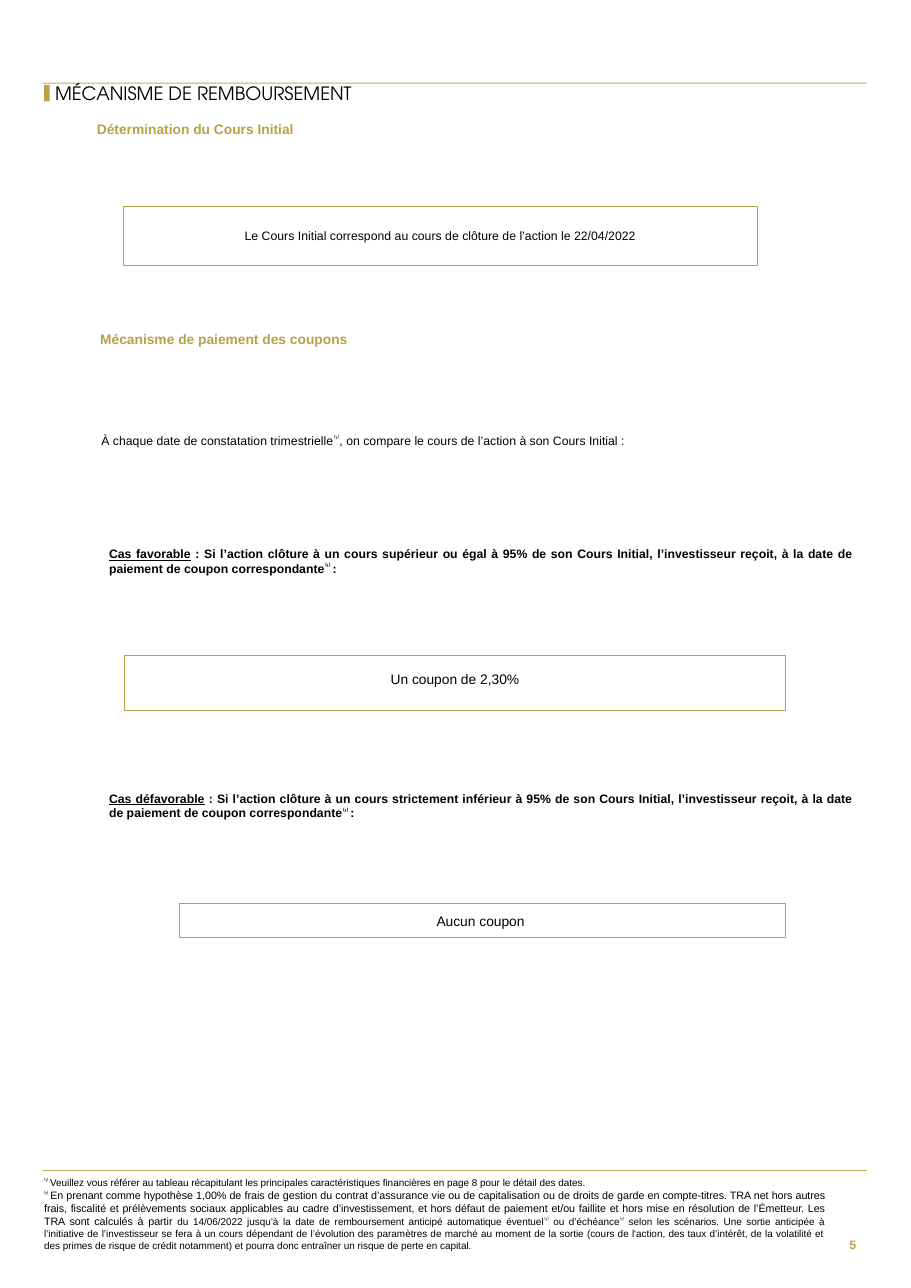
"""Build the redemption mechanism page of a structured product brochure."""
from dataclasses import dataclass
from typing import Optional

import pptx
import pptx.dml.color
import pptx.enum.shapes
import pptx.enum.text
import pptx.util

PX = 9144
ALIGN = pptx.enum.text.PP_ALIGN
ANCHOR = pptx.enum.text.MSO_ANCHOR
COLOURS = {"gold": "B9A049", "rule": "C5AF5C", "ink": "000000", "paper": "FFFFFF"}


@dataclass(frozen=True)
class Span:
    text: str
    size: Optional[float] = None
    underline: bool = False
    superscript: bool = False


@dataclass(frozen=True)
class Passage:
    box: tuple[int, int, int, int]
    paragraphs: list[list[Span]]
    size: float
    colour: str = "ink"
    bold: bool = False
    font: str = "Arial"
    align: ALIGN = ALIGN.JUSTIFY
    anchor: ANCHOR = ANCHOR.TOP
    insets: tuple[int, int, int, int] = (0, 0, 0, 0)
    line_spacing: float = 1.0


@dataclass(frozen=True)
class Panel:
    passage: Passage
    outline: float
    fill: Optional[str] = None


def emu(box: tuple[int, ...]) -> list[int]:
    """Turn px lengths into EMU."""
    return [length * PX for length in box]


def rgb(name: str) -> pptx.dml.color.RGBColor:
    """Look up a named colour."""
    return pptx.dml.color.RGBColor.from_string(COLOURS[name])


def write(frame: pptx.text.text.TextFrame, passage: Passage) -> None:
    """Fill a text frame with the spans of a passage."""
    frame.word_wrap = True
    frame.vertical_anchor = passage.anchor
    (frame.margin_left, frame.margin_top,
     frame.margin_right, frame.margin_bottom) = emu(passage.insets)
    for index, spans in enumerate(passage.paragraphs):
        paragraph = frame.add_paragraph() if index else frame.paragraphs[0]
        paragraph.alignment = passage.align
        paragraph.line_spacing = passage.line_spacing
        for span in spans:
            run = paragraph.add_run()
            run.text = span.text
            run.font.name = passage.font
            run.font.size = pptx.util.Pt(span.size or passage.size)
            run.font.bold = passage.bold
            run.font.underline = span.underline
            run.font.color.rgb = rgb(passage.colour)
            if span.superscript:
                run._r.get_or_add_rPr().set("baseline", "30000")


def add_passage(slide: pptx.slide.Slide, passage: Passage) -> None:
    """Add a text box."""
    write(slide.shapes.add_textbox(*emu(passage.box)).text_frame, passage)


def add_rectangle(slide: pptx.slide.Slide, box: tuple[int, int, int, int],
                  fill: Optional[str], outline: float = 0) -> pptx.shapes.autoshape.Shape:
    """Add a flat rectangle with an optional fill and gold outline."""
    rectangle = slide.shapes.add_shape(pptx.enum.shapes.MSO_SHAPE.RECTANGLE, *emu(box))
    rectangle.shadow.inherit = False
    if fill:
        rectangle.fill.solid()
        rectangle.fill.fore_color.rgb = rgb(fill)
    else:
        rectangle.fill.background()
    if outline:
        rectangle.line.color.rgb = rgb("gold")
        rectangle.line.width = pptx.util.Pt(outline)
    else:
        rectangle.line.fill.background()
    return rectangle


def add_panel(slide: pptx.slide.Slide, panel: Panel) -> None:
    """Add an outlined box with its text."""
    rectangle = add_rectangle(slide, panel.passage.box, panel.fill, panel.outline)
    write(rectangle.text_frame, panel.passage)


def note(mark: str) -> Span:
    """Make a raised footnote mark."""
    return Span(mark, superscript=True)


def heading(left: int, top: int, text: str) -> Passage:
    """Make a gold section heading."""
    return Passage((left, top, 600, 18), [[Span(text)]], 9, "gold", True, align=ALIGN.LEFT)


def case(top: int, name: str, condition: str) -> Passage:
    """Make the introduction of a coupon case."""
    sentence = (f" : Si l’action clôture à un cours {condition} à 95% de son Cours Initial, "
                "l’investisseur reçoit, à la date de paiement de coupon correspondante")
    return Passage((99, top, 676, 27), [[Span(name, underline=True), Span(sentence),
                                         note("⁽¹⁾ "), Span(": ")]], 8, bold=True)


def boxed(box: tuple[int, int, int, int], text: str, size: float,
          insets: tuple[int, int, int, int], line_spacing: float = 1.0) -> Passage:
    """Make the centred text of a panel."""
    return Passage(box, [[Span(text)]], size, align=ALIGN.CENTER, anchor=ANCHOR.MIDDLE,
                   insets=insets, line_spacing=line_spacing)


FOOTNOTES = [
    [note("⁽¹⁾ "),
     Span("Veuillez vous référer au tableau récapitulant les principales caractéristiques "
          "financières en page 8 pour le détail des dates. ")],
    [note("⁽²⁾ "),
     Span("En prenant comme hypothèse 1,00% de frais de gestion du contrat d’assurance vie ou de "
          "capitalisation ou de droits de garde en compte-titres. TRA net hors autres frais, "
          "fiscalité et prélèvements sociaux applicables au cadre d’investissement, et hors "
          "défaut de paiement et/ou faillite et hors mise en résolution de l’Émetteur. Les TRA "
          "sont calculés à partir ", size=7),
     Span("du 14/06/2022 jusqu’à la date de remboursement anticipé automatique éventuel"),
     note("⁽¹⁾"), Span(" ou d’échéance"), note("⁽¹⁾"),
     Span(" selon les scénarios. Une sortie anticipée à l’initiative de l’investisseur se fera "
          "à un cours dépendant de l’évolution des paramètres de marché au moment de la sortie "
          "(cours de l'action, des taux d’intérêt, de la volatilité et des primes de risque de "
          "crédit notamment) et pourra donc entraîner un risque de perte en capital.")],
]

PASSAGES = [
    Passage((748, 1109, 39, 42), [[Span("5")]], 8, "gold", True, align=ALIGN.RIGHT,
            anchor=ANCHOR.MIDDLE, insets=(10, 5, 10, 5)),
    Passage((40, 1068, 709, 68), FOOTNOTES, 6.5),
    Passage((50, 73, 421, 25), [[Span("MÉCANISME DE REMBOURSEMENT")]], 12,
            font="TeX Gyre Adventor", align=ALIGN.LEFT, anchor=ANCHOR.MIDDLE, line_spacing=0.9),
    heading(88, 110, "Détermination du Cours Initial"),
    heading(91, 300, "Mécanisme de paiement des coupons"),
    Passage((92, 393, 657, 13),
            [[Span("À chaque date de constatation trimestrielle"), note("⁽¹⁾"),
              Span(", on compare le cours de l’action à son Cours Initial :")]], 8),
    case(496, "Cas favorable", "supérieur ou égal"),
    case(718, "Cas défavorable", "strictement inférieur"),
]

PANELS = [
    Panel(boxed((112, 187, 576, 54),
                "Le Cours Initial correspond au cours de clôture de l’action le 22/04/2022",
                8, (12, 20, 12, 20)), 0.5),
    Panel(boxed((113, 595, 600, 50), "Un coupon de 2,30%", 9, (12, 15, 12, 21), 0.9),
          0.75, "paper"),
    Panel(boxed((163, 820, 550, 31), "Aucun coupon ", 9, (12, 8, 12, 8)), 0.75, "paper"),
]


def main() -> None:
    """Assemble and save the page."""
    deck = pptx.Presentation()
    deck.slide_width, deck.slide_height = emu((827, 1169))
    page = deck.slides.add_slide(deck.slide_layouts[6])
    for rule_top in (75, 1062):
        add_rectangle(page, (39, rule_top, 748, 1), "rule")
    add_rectangle(page, (40, 77, 5, 15), "gold")
    for panel in PANELS:
        add_panel(page, panel)
    for passage in PASSAGES:
        add_passage(page, passage)
    deck.save("out.pptx")


if __name__ == "__main__":
    main()
